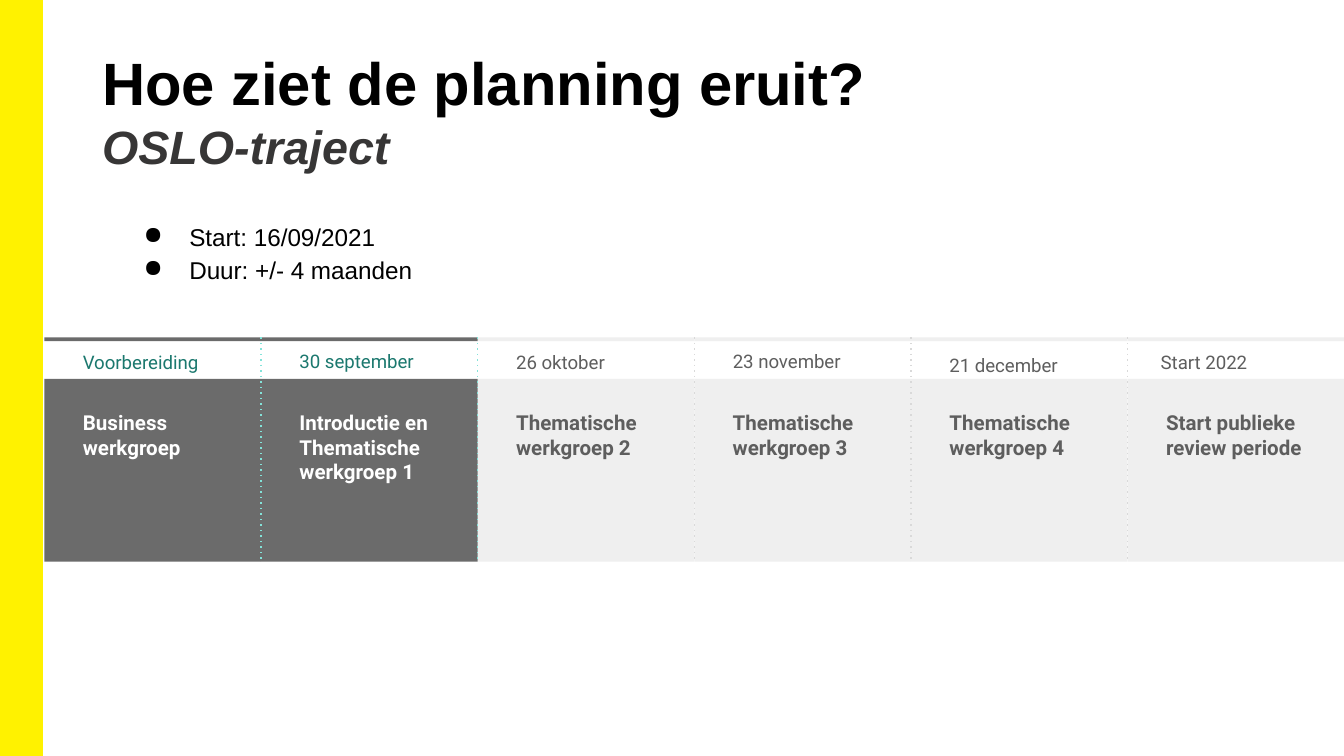
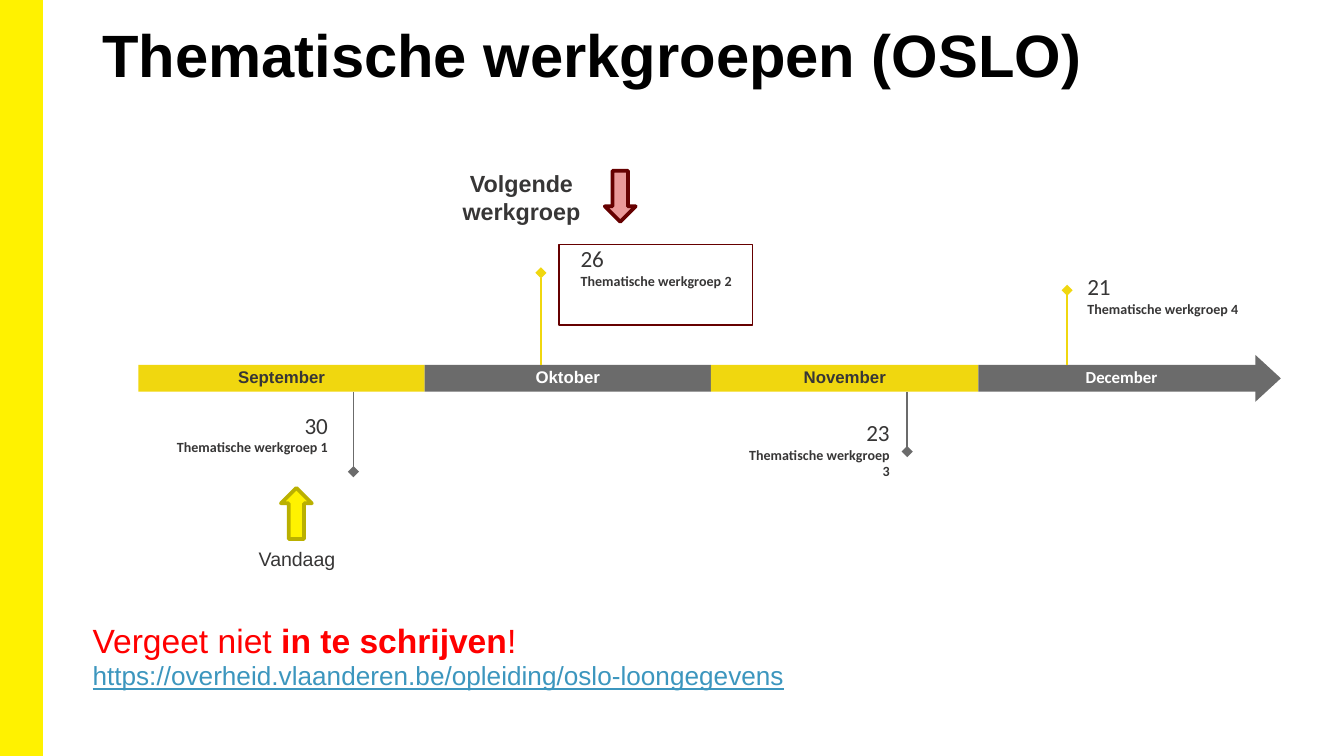
from dataclasses import dataclass
from itertools import accumulate
from typing import NamedTuple, Optional

from lxml.etree import SubElement
from pptx import Presentation
from pptx.dml.color import RGBColor
from pptx.enum.shapes import MSO_CONNECTOR as Connector, MSO_SHAPE as Preset
from pptx.enum.text import MSO_ANCHOR as Anchor, MSO_AUTO_SIZE as AutoSize, PP_ALIGN as Align
from pptx.oxml.ns import qn
from pptx.util import Inches, Pt

# The slide is a grid of square cells, 100 columns by 56.25 rows.
CELL = Inches(0.1)
COLUMNS, ROWS = 100, 56.25

YELLOW, GOLD, OLIVE = "FFF200", "F0D70F", "BAB000"
BLACK, WHITE, INK = "000000", "FFFFFF", "373636"
GRAY, TEXT_GRAY, PALE, DOTS = "6B6B6B", "5E5E5E", "EFEFEF", "D9D9D9"
TEAL, MINT = "1B786E", "83E3D9"
RED, MAROON, PINK, LINK = "FF0000", "660000", "EA9999", "3C96BE"


class Box(NamedTuple):
    left: float
    top: float
    width: float
    height: float


class Insets(NamedTuple):
    left: float
    top: float
    right: float
    bottom: float


NO_INSETS = Insets(0, 0, 0, 0)
TEXT_INSETS = Insets(1, 1, 1, 1)
TITLE_INSETS = Insets(0.7, 0.4, 0.7, 0.4)
MONTH_INSETS = Insets(0.4, 0.4, 0.4, 0.6)


@dataclass
class Stage:
    date: str
    label: str
    date_width: float
    date_height: float
    done: bool = False
    date_shift: float = 0


@dataclass
class Month:
    name: str
    width: float
    fill: str
    color: str
    font: str = "Arial"


@dataclass
class Meeting:
    day: str
    label: str
    box: Box
    pin_column: float
    tip_row: float
    align: Align = Align.LEFT
    anchor: Anchor = Anchor.TOP


STAGES = [
    Stage("Voorbereiding", "Business werkgroep", 12.4, 1.5, done=True),
    Stage("30 september", "Introductie en Thematische werkgroep 1", 11.8, 1.3, done=True),
    Stage("26 oktober", "Thematische werkgroep 2", 9.2, 1.5),
    Stage("23 november", "Thematische werkgroep 3", 11.5, 1.3),
    Stage("21 december", "Thematische werkgroep 4", 11.3, 2),
    Stage("Start 2022", "Start publieke review periode", 14.3, 1.5, date_shift=-0.4),
]
STAGE_LEFT, STAGE_WIDTH = 3.3, 16.12
STAGE_TOP, STAGE_BODY_TOP, STAGE_BOTTOM = 25.1, 28.2, 41.8

MONTHS = [
    Month("September", 21.3, GOLD, INK),
    Month("Oktober", 21.3, GRAY, WHITE),
    Month("November", 19.9, GOLD, INK),
    Month("December", 21.3, GRAY, WHITE, "Calibri"),
]
MONTHS_LEFT, MONTHS_TOP, MONTHS_HEIGHT = 10.3, 27.15, 2

MEETINGS = [
    Meeting("30", "Thematische werkgroep 1", Box(12.6, 30.6, 11.8, 6.6), 26.3, 35.1, Align.RIGHT),
    Meeting("26", "Thematische werkgroep 2", Box(43.2, 18.2, 11.8, 6.6), 40.25, 20.3),
    Meeting("23", "Thematische werkgroep 3", Box(55, 32, 11.2, 3.7), 67.5, 33.6,
            Align.RIGHT, Anchor.BOTTOM),
    Meeting("21", "Thematische werkgroep 4", Box(80.9, 20.3, 11.8, 4.2), 79.4, 21.6),
]


def cells(count: float) -> int:
    return round(count * CELL)


def rgb(color: str) -> RGBColor:
    return RGBColor.from_string(color)


def add_block(shapes, box: Box, fill: Optional[str] = None, line: Optional[str] = None,
              line_width: float = 1, preset=Preset.RECTANGLE, rotation: float = 0):
    shape = shapes.add_shape(preset, *map(cells, box))
    shape.shadow.inherit = False
    shape.rotation = rotation
    if fill:
        shape.fill.solid()
        shape.fill.fore_color.rgb = rgb(fill)
    else:
        shape.fill.background()
    if line:
        shape.line.color.rgb = rgb(line)
        shape.line.width = Pt(line_width)
    else:
        shape.line.fill.background()
    return shape


def add_line(shapes, column: float, start_row: float, end_row: float, color: str,
             width: float, dash: Optional[str] = None, tip: Optional[str] = None) -> None:
    """Draw a vertical line, optionally dashed or with an end mark at end_row."""
    connector = shapes.add_connector(Connector.STRAIGHT, cells(column), cells(start_row),
                                     cells(column), cells(end_row))
    connector.line.color.rgb = rgb(color)
    connector.line.width = Pt(width)
    properties = connector.element.spPr
    outline = properties.find(qn("a:ln"))
    if dash:
        SubElement(outline, qn("a:prstDash"), val=dash)
    if tip:
        SubElement(outline, qn("a:tailEnd"), type=tip)
    SubElement(properties, qn("a:effectLst"))


def set_frame(shape, insets: Insets, anchor: Anchor = Anchor.TOP):
    frame = shape.text_frame
    frame.word_wrap = True
    frame.auto_size = AutoSize.NONE
    frame.vertical_anchor = anchor
    frame.margin_left, frame.margin_top, frame.margin_right, frame.margin_bottom = map(cells, insets)
    return frame


def add_frame(shapes, box: Box, insets: Insets = TEXT_INSETS, anchor: Anchor = Anchor.TOP):
    return set_frame(shapes.add_textbox(*map(cells, box)), insets, anchor)


def add_text(frame, text: str, *, size: float, color: str = INK, font: str = "Arial",
             bold: bool = False, italic: bool = False, underline: bool = False,
             align: Align = Align.LEFT, spacing: float = 1, space_after: float = 0,
             bullet: Optional[str] = None, same_line: bool = False) -> None:
    """Write a paragraph, or a run that continues the last one."""
    paragraph = frame.paragraphs[-1]
    if paragraph.runs and not same_line:
        paragraph = frame.add_paragraph()
    if not same_line:
        paragraph.alignment = align
        paragraph.line_spacing = spacing
        paragraph.space_after = Pt(space_after)
        if bullet:
            properties = paragraph._p.get_or_add_pPr()
            properties.set("marL", str(cells(5)))
            properties.set("indent", str(cells(-3.4)))
            SubElement(SubElement(properties, qn("a:buClr")), qn("a:srgbClr"), val=color)
            SubElement(properties, qn("a:buChar"), char=bullet)
    run = paragraph.add_run()
    run.text = text
    run.font.name, run.font.size = font, Pt(size)
    run.font.bold, run.font.italic, run.font.underline = bold, italic, underline
    run.font.color.rgb = rgb(color)


def add_titled_slide(presentation, title: str, top: float, height: float,
                     subtitle: Optional[str] = None):
    slide = presentation.slides.add_slide(presentation.slide_layouts[5])
    add_block(slide.shapes, Box(0, 0, 3.1, ROWS), YELLOW, YELLOW)
    placeholder = slide.shapes.title
    placeholder.left, placeholder.top, placeholder.width, placeholder.height = map(
        cells, Box(6.9, top, 86.2, height))
    frame = set_frame(placeholder, TITLE_INSETS)
    add_text(frame, title, size=32, color=BLACK, bold=True)
    if subtitle:
        add_text(frame, subtitle, size=25, bold=True, italic=True)
    return slide


def add_stage(slide, index: int, stage: Stage) -> None:
    shapes = slide.shapes.add_group_shape().shapes
    left = STAGE_LEFT + index * STAGE_WIDTH
    fill = GRAY if stage.done else PALE
    add_block(shapes, Box(left, STAGE_BODY_TOP, STAGE_WIDTH, STAGE_BOTTOM - STAGE_BODY_TOP), fill)
    add_block(shapes, Box(left, STAGE_TOP, STAGE_WIDTH, 0.3), fill)
    if index < len(STAGES) - 1:
        add_line(shapes, left + STAGE_WIDTH, STAGE_TOP, STAGE_BOTTOM,
                 MINT if stage.done else DOTS, 0.75, dash="dot")
    text_left = left + 1.88
    add_text(add_frame(shapes, Box(text_left, 29.5, 12.4, 4)), stage.label, size=11,
             font="Roboto", bold=True, color=WHITE if stage.done else TEXT_GRAY)
    date_box = Box(text_left + stage.date_shift, STAGE_TOP, stage.date_width, stage.date_height)
    add_text(add_frame(shapes, date_box), stage.date, size=10, font="Roboto", spacing=1.15,
             space_after=16, color=TEAL if stage.done else TEXT_GRAY)


def add_month(slide, left: float, month: Month) -> None:
    bar = add_block(slide.shapes, Box(left, MONTHS_TOP, month.width, MONTHS_HEIGHT), month.fill)
    add_text(set_frame(bar, MONTH_INSETS, Anchor.MIDDLE), month.name, size=9, bold=True,
             font=month.font, color=month.color, align=Align.CENTER)


def add_meeting(slide, meeting: Meeting) -> None:
    above = meeting.tip_row < MONTHS_TOP
    bar_row = MONTHS_TOP if above else MONTHS_TOP + MONTHS_HEIGHT
    add_line(slide.shapes, meeting.pin_column, bar_row, meeting.tip_row,
             GOLD if above else GRAY, 1, tip="diamond")
    frame = add_frame(slide.shapes, meeting.box, NO_INSETS, meeting.anchor)
    add_text(frame, meeting.day, size=12.4, font="Calibri", align=meeting.align)
    add_text(frame, meeting.label, size=7.5, font="Calibri", bold=True, align=meeting.align)


def build_planning(presentation) -> None:
    slide = add_titled_slide(presentation, "Hoe ziet de planning eruit?", 3, 8.1, "OSLO-traject")
    facts = add_frame(slide.shapes, Box(8.1, 15.2, 81.8, 6.7))
    for fact in ("Start: 16/09/2021", "Duur: +/- 4 maanden"):
        add_text(facts, fact, size=13, color=BLACK, spacing=1.15, bullet="●")
    for index, stage in reversed(list(enumerate(STAGES))):
        add_stage(slide, index, stage)


def build_timeline(presentation) -> None:
    slide = add_titled_slide(presentation, "Thematische werkgroepen (OSLO)", 0.9, 6.6)
    shapes = slide.shapes
    add_block(shapes, Box(92.6, 27.2, 3.5, 1.9), GRAY, preset=Preset.ISOSCELES_TRIANGLE, rotation=90)
    lefts = accumulate((month.width for month in MONTHS), initial=MONTHS_LEFT)
    for left, month in zip(lefts, MONTHS):
        add_month(slide, left, month)
    for meeting in MEETINGS:
        add_meeting(slide, meeting)

    add_block(shapes, Box(20.9, 36.3, 2.3, 3.8), YELLOW, OLIVE, 2, Preset.DOWN_ARROW, 180)
    add_text(add_frame(shapes, Box(14.9, 40.7, 14.4, 2.6), NO_INSETS), "Vandaag", size=10.5,
             align=Align.CENTER)
    add_block(shapes, Box(41.6, 18.2, 14.4, 6), line=MAROON, line_width=0.75)
    add_block(shapes, Box(45, 12.7, 2.3, 3.8), PINK, MAROON, 2, Preset.DOWN_ARROW)
    add_text(add_frame(shapes, Box(31.6, 13.4, 14.4, 2.6), NO_INSETS, Anchor.MIDDLE),
             "Volgende werkgroep", size=12.5, bold=True, align=Align.CENTER)

    reminder = add_frame(shapes, Box(5.9, 45.1, 92.1, 7.4))
    add_text(reminder, "Vergeet niet ", size=18, color=RED)
    add_text(reminder, "in te schrijven", size=18, color=RED, bold=True, same_line=True)
    add_text(reminder, "!", size=18, color=RED, same_line=True)
    add_text(reminder, "https://overheid.vlaanderen.be/opleiding/oslo-loongegevens",
             size=14, color=LINK, underline=True)


def main() -> None:
    presentation = Presentation()
    presentation.slide_width, presentation.slide_height = cells(COLUMNS), cells(ROWS)
    build_planning(presentation)
    build_timeline(presentation)
    presentation.save("out.pptx")


if __name__ == "__main__":
    main()
